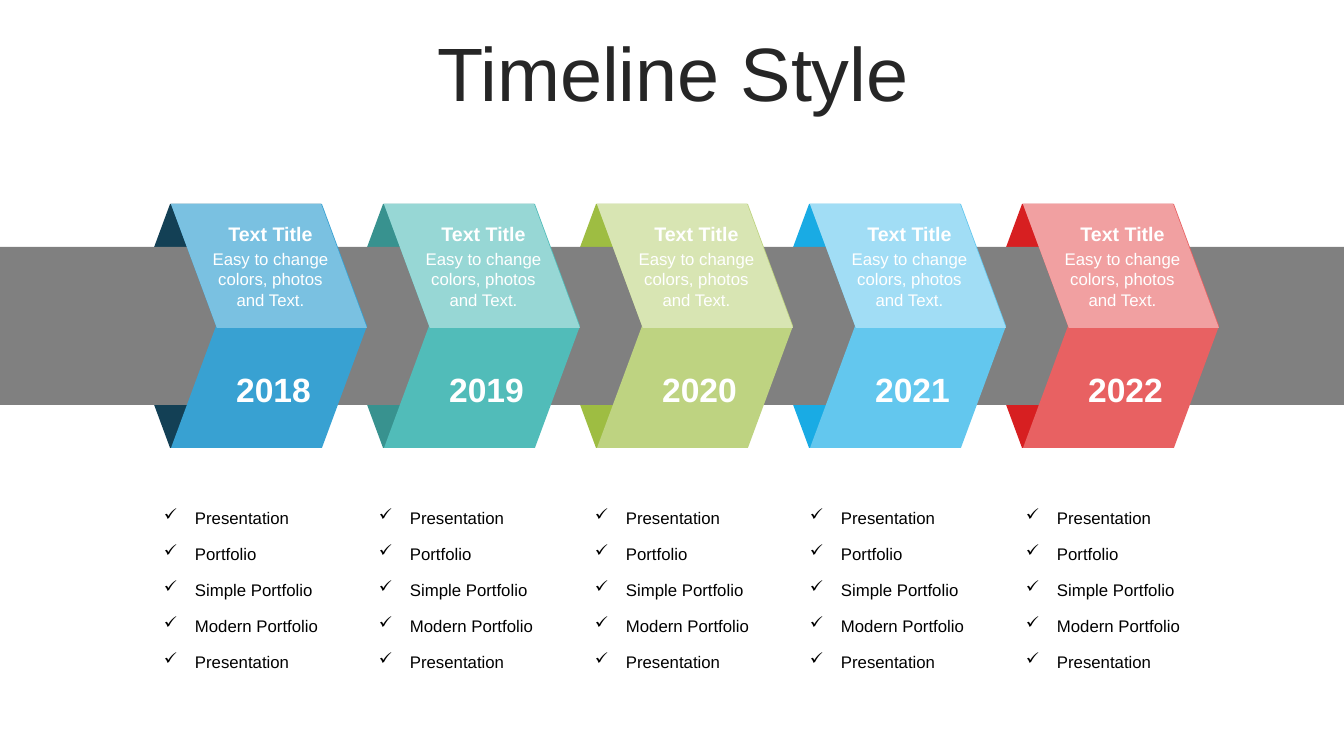
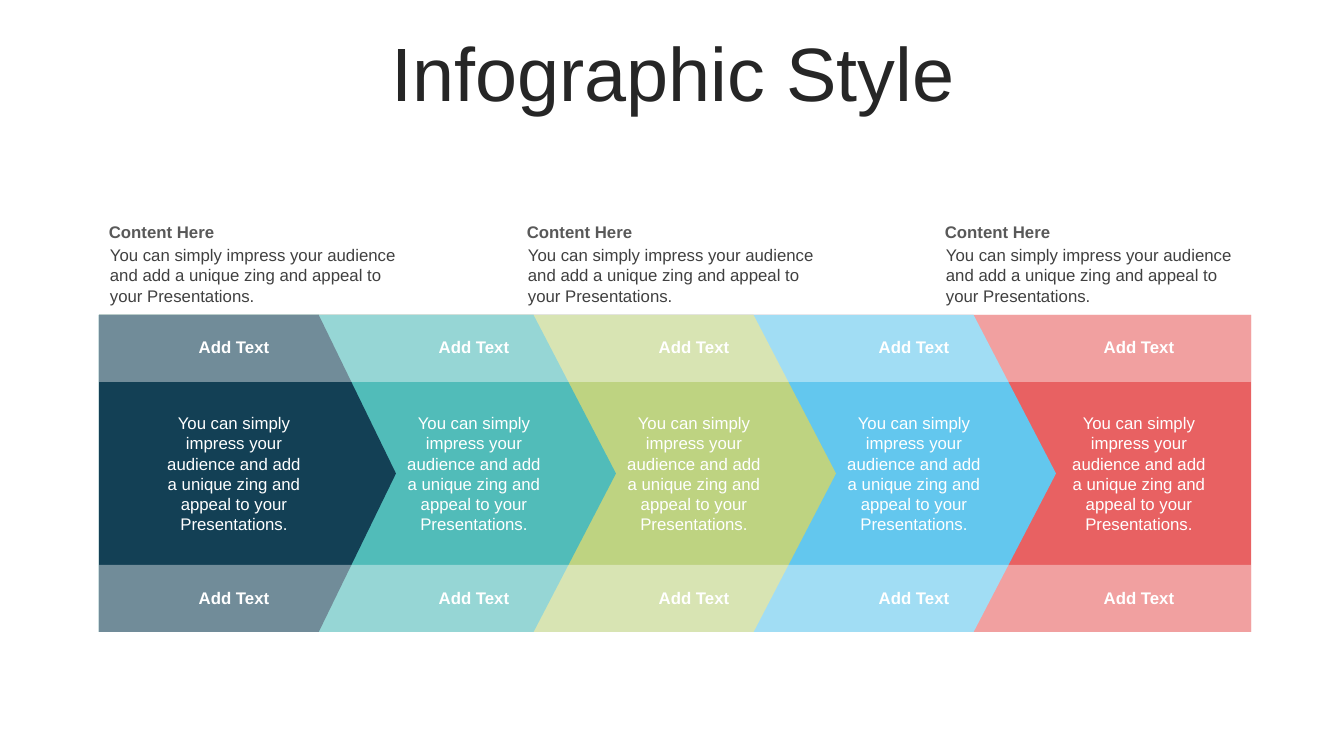
import pptx
import pptx.util
import pptx.dml.color
import pptx.enum.shapes
import pptx.enum.text
import pptx.oxml.ns
import lxml.etree

RGB = pptx.dml.color.RGBColor
KIND = pptx.enum.shapes.MSO_SHAPE
ALIGN = pptx.enum.text.PP_ALIGN
ANCHOR = pptx.enum.text.MSO_ANCHOR
qn = pptx.oxml.ns.qn

PX = 12192000 / 1344
FONT = "Arial"
WHITE = RGB(0xFF, 0xFF, 0xFF)
BLACK = RGB(0x00, 0x00, 0x00)
INK = RGB(0x26, 0x26, 0x26)
DARK = RGB(0x40, 0x40, 0x40)
MID = RGB(0x59, 0x59, 0x59)
GRAY = RGB(0x80, 0x80, 0x80)
NAVY = RGB(0x13, 0x40, 0x55)
BLUE = RGB(0x38, 0xA1, 0xD2)
TEAL = RGB(0x51, 0xBC, 0xB9)
LIME = RGB(0xBE, 0xD3, 0x81)
SKY = RGB(0x63, 0xC7, 0xEE)
RED = RGB(0xE8, 0x61, 0x62)
FOLDS = [NAVY, RGB(0x38, 0x92, 0x8F), RGB(0x9E, 0xBD, 0x42),
         RGB(0x19, 0xAB, 0xE4), RGB(0xD7, 0x1F, 0x21)]
FRONTS = [BLUE, TEAL, LIME, SKY, RED]
TINTS = [RGB(0x7A, 0xC1, 0xE1), RGB(0x97, 0xD7, 0xD5), RGB(0xD8, 0xE5, 0xB3),
         RGB(0xA1, 0xDD, 0xF5), RGB(0xF1, 0xA0, 0xA1)]
PLATES = [NAVY, TEAL, LIME, SKY, RED]


def block(slide, kind, box, fill, adj=None, flip=False):
    shape = slide.shapes.add_shape(kind, *[round(n * PX) for n in box])
    shape.shadow.inherit = False
    shape.fill.solid()
    shape.fill.fore_color.rgb = fill
    shape.line.fill.background()
    if adj is not None:
        shape.adjustments[0] = adj
    if flip:
        shape._element.spPr.find(qn("a:xfrm")).set("flipH", "1")
    return shape


def label(slide, box, lines, size, color, bold=False, align=ALIGN.CENTER,
          anchor=ANCHOR.TOP):
    frame = slide.shapes.add_textbox(*[round(n * PX) for n in box]).text_frame
    frame.word_wrap = True
    frame.vertical_anchor = anchor
    frame.text = lines
    for para in frame.paragraphs:
        para.alignment = align
        para.font.name = FONT
        para.font.size = pptx.util.Pt(size)
        para.font.bold = bold
        para.font.color.rgb = color
    return frame


deck = pptx.Presentation()
deck.slide_width = round(1344 * PX)
deck.slide_height = round(756 * PX)

slides = []
for text in ["Timeline Style", "Infographic Style"]:
    slide = deck.slides.add_slide(deck.slide_layouts[5])
    title = slide.shapes.title
    title.left, title.top, title.width, title.height = [
        round(n * PX) for n in (35, 37, 1276, 80)]
    frame = title.text_frame
    frame.text = text
    frame.auto_size = pptx.enum.text.MSO_AUTO_SIZE.NONE
    frame.vertical_anchor = ANCHOR.MIDDLE
    para = frame.paragraphs[0]
    para.alignment = ALIGN.CENTER
    para.line_spacing = 0.9
    para.font.name = FONT
    para.font.size = pptx.util.Pt(54)
    para.font.color.rgb = INK
    slides.append(slide)
time, info = slides

STEP = 213
for i, fold in enumerate(FOLDS):
    block(time, KIND.CHEVRON, (125 + i * STEP, 204, 196, 244), fold, 0.23, True)
block(time, KIND.RECTANGLE, (0, 247, 1344, 158), GRAY)

ITEMS = ["Presentation", "Portfolio", "Simple Portfolio", "Modern Portfolio",
         "Presentation"]
for i, (front, tint) in enumerate(zip(FRONTS, TINTS)):
    x = 171 + i * STEP
    block(time, KIND.CHEVRON, (x, 204, 196, 244), front, 0.23)
    block(time, KIND.PARALLELOGRAM, (x, 204, 196, 124), tint, 0.37, True)
    label(time, (x + 28, 364, 149, 50), str(2018 + i), 24, WHITE, True)
    label(time, (x + 28, 217, 143, 34), "Text Title", 14, WHITE, True)
    label(time, (x + 28, 244, 143, 72),
          "Easy to change colors, photos and Text.", 12, WHITE)

    left = 154 + i * 431 // 2
    checks = label(time, (left, 507, 183, 167), "\n".join(ITEMS), 12, BLACK,
                   align=ALIGN.LEFT)
    for n, para in enumerate(checks.paragraphs):
        para.line_spacing = 0.8
        if n:
            para.space_before = pptx.util.Pt(14.2)
        props = para._p.get_or_add_pPr()
        props.set("marL", str(round(31 * PX)))
        props.set("indent", str(round(-31 * PX)))
        mark = lxml.etree.Element(qn("a:buChar"), char="✓")
        props.find(qn("a:defRPr")).addprevious(mark)

PITCH = "You can simply impress your audience and add a unique zing and appeal to your Presentations."
block(info, KIND.PENTAGON, (99, 315, 1152, 317), PLATES[4], 0)
for i in range(3, -1, -1):
    block(info, KIND.PENTAGON, (99, 315, 297 + i * 220, 317), PLATES[i], 0.26)

for y in (315, 565):
    veil = block(info, KIND.RECTANGLE, (99, y, 1152, 67), WHITE)
    shade = veil._element.spPr.find(qn("a:solidFill"))[0]
    lxml.etree.SubElement(shade, qn("a:alpha"), val="40000")

for x in (155, 395, 615, 835, 1060):
    for y in (332, 583):
        label(info, (x, y, 158, 30), "Add Text", 12, WHITE, True)
    label(info, (x, 408, 158, 132), PITCH, 12, WHITE)

for i in range(3):
    x = 99 + i * 418
    label(info, (x, 217, 314, 30), "Content Here", 12, MID, True,
          ALIGN.LEFT, ANCHOR.MIDDLE)
    label(info, (x + 1, 240, 313, 72), PITCH, 12, DARK, align=ALIGN.LEFT)

deck.save("out.pptx")
